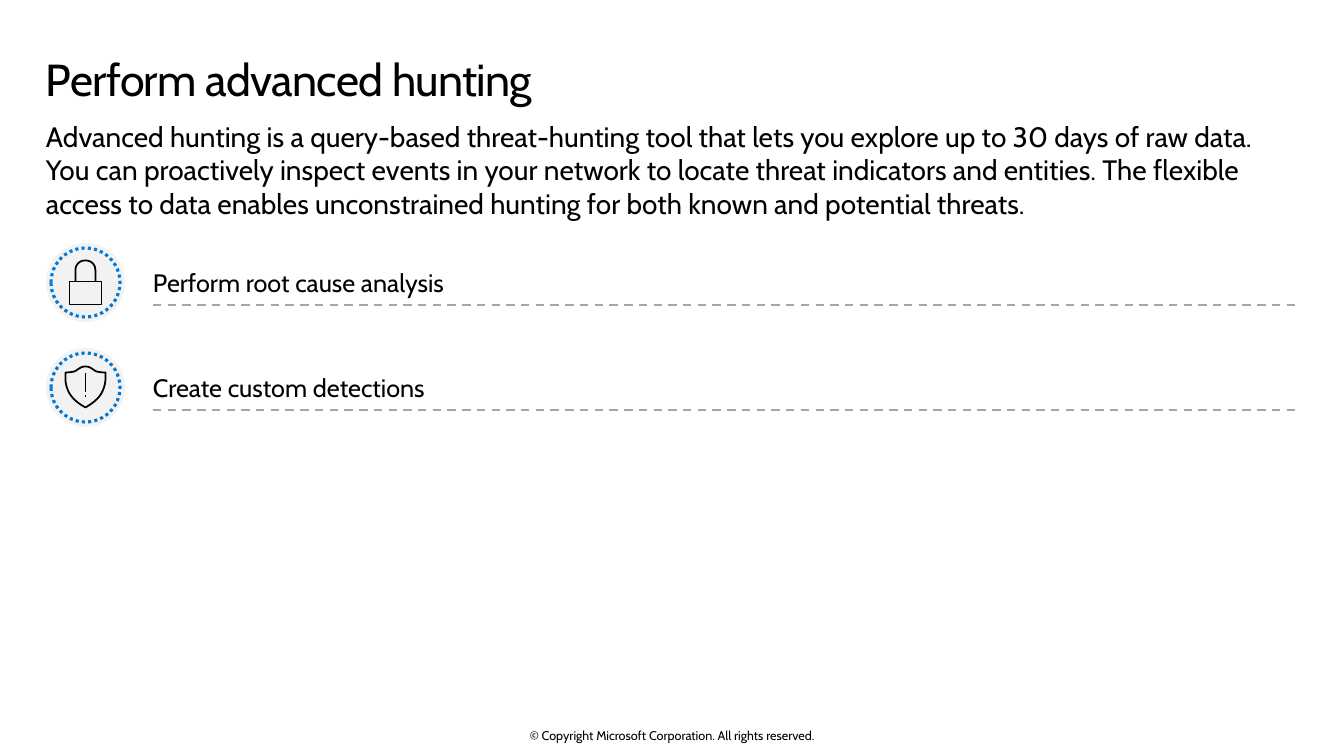
from pptx import Presentation
from pptx.dml.color import RGBColor
from pptx.enum.dml import MSO_LINE
from pptx.enum.shapes import MSO_CONNECTOR, MSO_SHAPE
from pptx.enum.text import MSO_ANCHOR, MSO_AUTO_SIZE, PP_ALIGN
from pptx.oxml.ns import qn
from pptx.util import Emu, Pt
from lxml.etree import SubElement

BLACK = RGBColor(0x00, 0x00, 0x00)
DISC_GREY = RGBColor(0xF2, 0xF2, 0xF2)
RULE_GREY = RGBColor(0xA6, 0xA6, 0xA6)
RING_BLUE = RGBColor(0x00, 0x78, 0xD4)
FONT = "Cabin"
EMU_PER_PX = 914400 / 100.8

TITLE = "Perform advanced hunting"
INTRO = (
    "Advanced hunting is a query-based threat-hunting tool that lets you explore "
    "up to 30 days of raw data. You can proactively inspect events in your network "
    "to locate threat indicators and entities. The flexible access to data enables "
    "unconstrained hunting for both known and potential threats."
)
COPYRIGHT = "© Copyright Microsoft Corporation. All rights reserved."

LEFT, WIDTH = 46, 1250
ROW_TOP, ROW_PITCH = 243, 105
DISC, RING = 79, 69
TEXT_LEFT, RULE_RIGHT = 153, 1296


def px(n):
    return Emu(round(n * EMU_PER_PX))


def box(left, top, width, height):
    return px(left), px(top), px(width), px(height)


# Icon outlines, in px from the centre of the disc
def curve(a, b, c, d, steps=10):
    """Points along a cubic Bézier curve."""
    points = []
    for i in range(steps + 1):
        t = i / steps
        u = 1 - t
        weights = (u**3, 3 * u * u * t, 3 * u * t * t, t**3)
        points.append(tuple(
            sum(w * p[axis] for w, p in zip(weights, (a, b, c, d)))
            for axis in (0, 1)
        ))
    return points


def mirrored(half):
    """Left half, from bottom to top, followed by its reflection."""
    return half + [(-x, y) for x, y in reversed(half)]


def lock_outline():
    body = [(-16, 22), (-16, -1), (16, -1), (16, 22)]
    shackle = mirrored(
        [(-10, -1)] + curve((-10, -12), (-10, -18), (-6, -22), (0, -22))
    )
    return [(body, True), (shackle, False)]


def shield_outline():
    half = (
        curve((0, 20), (0, 20), (-9, 15), (-13, 10))
        + curve((-13, 10), (-20, 2), (-20, -8), (-20, -8))
        + curve((-20, -15), (-20, -15), (-15, -15), (-11, -16))
        + curve((-11, -16), (-7, -18), (-5, -21), (0, -21))
    )
    return [
        (mirrored(half), True),
        ([(0, -14), (0, 5)], False),
        ([(0, 8), (0, 10)], False),
    ]


# Text
def format_text(sp, text, size, anchor=MSO_ANCHOR.TOP, align=PP_ALIGN.LEFT):
    tf = sp.text_frame
    tf.text = text
    tf.word_wrap = True
    tf.auto_size = MSO_AUTO_SIZE.NONE
    tf.vertical_anchor = anchor
    tf.margin_left = tf.margin_top = tf.margin_right = tf.margin_bottom = 0
    p = tf.paragraphs[0]
    p.alignment = align
    p.space_before = Pt(0)
    r = p.runs[0]
    r.font.name = FONT
    r.font.size = Pt(size)
    r.font.bold = False
    r.font.color.rgb = BLACK
    return p


def place(sp, left, top, width, height):
    sp.left, sp.top, sp.width, sp.height = box(left, top, width, height)


def fill_title(sp):
    place(sp, LEFT, 48, WIDTH, 75)
    p = format_text(sp, TITLE, 32)
    p.line_spacing = 0.9
    p.runs[0].font._element.set("spc", "-50")
    tf = sp.text_frame
    tf.margin_top = tf.margin_bottom = px(10)
    tf.margin_right = px(16)


def fill_body(sp, text, size, bounds, anchor=MSO_ANCHOR.TOP):
    place(sp, *bounds)
    p = format_text(sp, text, size, anchor)
    p.line_spacing = 1.0
    ppr = p._p.get_or_add_pPr()
    ppr.set("marL", "0")
    ppr.set("indent", "0")
    SubElement(ppr, qn("a:buNone"))


def add_copyright(slide):
    sp = slide.shapes.add_textbox(*box(445, 728, 454, 15))
    format_text(sp, COPYRIGHT, 9, MSO_ANCHOR.MIDDLE, PP_ALIGN.CENTER)


# Row graphics
def add_rule(slide, y):
    line = slide.shapes.add_connector(
        MSO_CONNECTOR.STRAIGHT, px(TEXT_LEFT), px(y), px(RULE_RIGHT), px(y)
    )
    line.line.color.rgb = RULE_GREY
    line.line.width = Pt(1.5)
    line.line.dash_style = MSO_LINE.DASH
    SubElement(line._element.spPr, qn("a:effectLst"))


def add_circle(shapes, cx, cy, size):
    sp = shapes.add_shape(
        MSO_SHAPE.OVAL, *box(cx - size / 2, cy - size / 2, size, size)
    )
    sp.shadow.inherit = False
    return sp


def add_icon(shapes, cx, cy, outline):
    builder = None
    for points, closed in outline:
        spots = [(px(cx + x), px(cy + y)) for x, y in points]
        if builder is None:
            builder = shapes.build_freeform(*spots[0], scale=1.0)
        else:
            builder.move_to(*spots[0])
        builder.add_line_segments(spots[1:], close=closed)
    sp = builder.convert_to_shape()
    sp.shadow.inherit = False
    sp.fill.background()
    sp.line.color.rgb = BLACK
    sp.line.width = Pt(1.25)


def add_medallion(slide, cx, cy, outline):
    shapes = slide.shapes.add_group_shape().shapes
    disc = add_circle(shapes, cx, cy, DISC)
    disc.fill.solid()
    disc.fill.fore_color.rgb = DISC_GREY
    disc.line.fill.background()

    ring = add_circle(shapes, cx, cy, RING)
    ring.fill.background()
    ring.line.color.rgb = RING_BLUE
    ring.line.width = Pt(2.25)
    ring.line.dash_style = MSO_LINE.ROUND_DOT
    add_icon(shapes, cx, cy, outline)


def main():
    prs = Presentation()
    prs.slide_width, prs.slide_height = px(1344), px(756)
    slide = prs.slides.add_slide(prs.slide_layouts.get_by_name("Comparison"))
    intro, first, second, spare = list(slide.placeholders)[1:]
    spare._element.getparent().remove(spare._element)

    # Heading and introduction
    fill_title(slide.shapes.title)
    fill_body(intro, INTRO, 20, (LEFT, 119, WIDTH, 102))

    # Rows: medallion, label and dashed rule
    rows = (
        (first, "Perform root cause analysis", lock_outline()),
        (second, "Create custom detections", shield_outline()),
    )
    for i, (sp, label, outline) in enumerate(rows):
        top = ROW_TOP + i * ROW_PITCH
        add_rule(slide, top + 62)
        add_medallion(slide, LEFT + DISC / 2, top + DISC / 2, outline)
        fill_body(sp, label, 18, (TEXT_LEFT, top + 3, 1145, 73), MSO_ANCHOR.MIDDLE)

    add_copyright(slide)
    prs.save("out.pptx")


if __name__ == "__main__":
    main()
